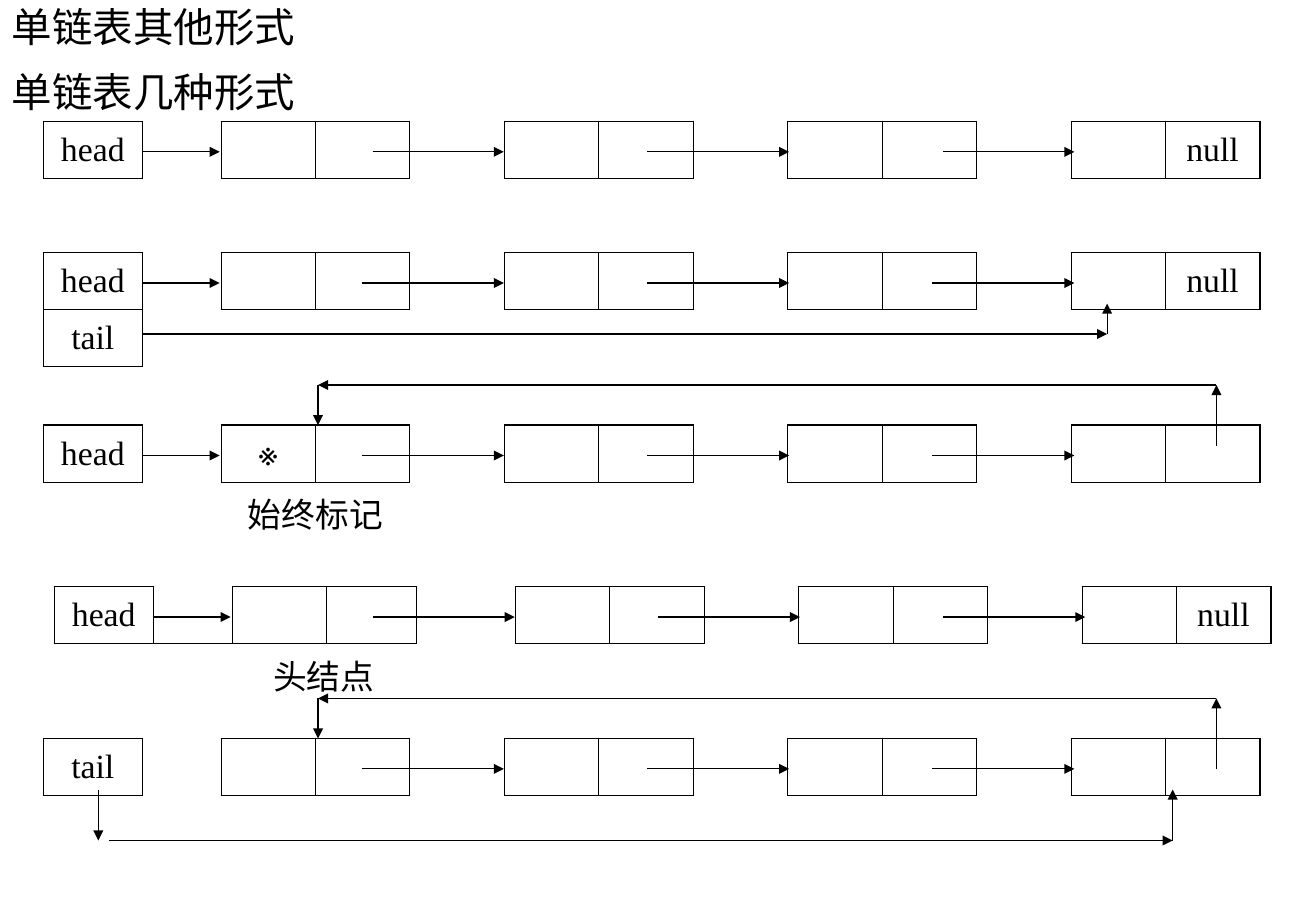
from dataclasses import dataclass
from itertools import pairwise

from lxml.etree import SubElement
from pptx import Presentation
from pptx.dml.color import RGBColor
from pptx.enum.shapes import MSO_CONNECTOR
from pptx.enum.text import MSO_ANCHOR, PP_ALIGN
from pptx.oxml.ns import qn
from pptx.util import Emu, Pt

SCALE = 9144  # EMU in one px, 100 px to the inch
FONT = "Times New Roman"
BLACK = "000000"
PLAIN = "{2D5ABB26-0587-4C30-8999-92F81FD0307C}"  # table style without a grid
THIN, THICK = 0.45, 1.08
ROW, COLS = 47, 13
WIDE, HEAD, GAP = 1002, 81, 65
NODE = (WIDE - HEAD - GAP) / (COLS - 2)
GAPS = (1, 4, 7, 10)
SIDES = {"a:lnL": (0, -1), "a:lnR": (0, 1), "a:lnT": (-1, 0), "a:lnB": (1, 0)}


@dataclass
class Chain:
    top: int
    texts: dict[tuple[int, int], str]
    left: int = 36
    spans: tuple[tuple[int, int], ...] = ()  # merged columns of the lower row
    nudge: tuple[int, ...] = (0, 0, 0)  # shift of each link's start
    entry: bool = True  # arrow from head to the first node
    trim: int = 0  # width taken from column 3 and given to column 4


CHAINS = [
    Chain(100, {(0, 0): "head", (0, 12): "null"}, nudge=(9, 0, 9)),
    Chain(208, {(0, 0): "head", (0, 12): "null", (1, 0): "tail"}),
    Chain(350, {(0, 0): "head", (0, 2): "※", (1, 2): "始终标记"}, spans=((2, 3),)),
    Chain(483, {(0, 0): "head", (0, 12): "null", (1, 2): "头结点"},
          left=45, spans=((0, 1), (2, 3)), trim=4),
    Chain(608, {(0, 0): "tail"}, entry=False),
]

# Bent routes: every leg has its own arrowhead
ROUTES = [
    [(117, 275), (912, 275), (912, 250)],
    [(1002, 367), (1002, 317), (262, 317), (262, 350)],
    [(1002, 633), (1002, 575), (262, 575), (262, 608)],
    [(81, 650), (81, 692)],
    [(90, 692), (966, 692), (966, 650)],
]


def px(size: float) -> Emu:
    return Emu(round(size * SCALE))


def tint(code: str) -> RGBColor:
    return RGBColor.from_string(code)


def write(frame, text: str, *, size: int = 20, align=PP_ALIGN.LEFT) -> None:
    frame.word_wrap = True
    para = frame.paragraphs[0]
    para.alignment = align
    run = para.add_run()
    run.text = text
    run.font.size = Pt(size)
    run.font.name = FONT
    run.font.color.rgb = tint(BLACK)


def label(slide, text: str, box: tuple[int, ...], anchor) -> None:
    frame = slide.shapes.add_textbox(*map(px, box)).text_frame
    write(frame, text, size=24)
    frame.vertical_anchor = anchor


def arrow(slide, start: tuple[int, int], end: tuple[int, int]) -> None:
    line = slide.shapes.add_connector(
        MSO_CONNECTOR.STRAIGHT, *map(px, (*start, *end)))
    line.line.color.rgb = tint(BLACK)
    line.line.width = Pt(0.75)
    SubElement(line.line._get_or_add_ln(), qn("a:tailEnd"), type="triangle")
    SubElement(line._element.spPr, qn("a:effectLst"))


def border(cell, tag: str, width: float) -> None:
    props = cell._tc.get_or_add_tcPr()
    edge = SubElement(props, qn(tag), w=str(Pt(width)))
    if width:
        fill = SubElement(edge, qn("a:solidFill"))
        SubElement(fill, qn("a:srgbClr"), val=BLACK)
    else:
        SubElement(edge, qn("a:noFill"))


def boxed(chain: Chain, row: int, col: int) -> bool:
    if row == 0:
        return 0 <= col < COLS and col not in GAPS
    return (row, col) == (1, 0) and (1, 0) in chain.texts


def weight(chain: Chain, row: int, col: int, tag: str) -> float:
    down, over = SIDES[tag]
    if not (boxed(chain, row, col) or boxed(chain, row + down, col + over)):
        return 0
    outer = row + down < 0 or not 0 <= col + over < COLS
    return THICK if row == 0 and outer else THIN


def draw(slide, chain: Chain) -> None:
    # Grid of nodes and gaps
    shape = slide.shapes.add_table(
        2, COLS, *map(px, (chain.left, chain.top, WIDE, 2 * ROW)))
    table = shape.table
    table.first_row = table.horz_banding = False
    table._tbl.tblPr.find(qn("a:tableStyleId")).text = PLAIN
    sizes = [HEAD, GAP] + [NODE] * (COLS - 2)
    sizes[3] -= chain.trim
    sizes[4] += chain.trim
    for column, size in zip(table.columns, sizes):
        column.width = px(size)
    for line in table.rows:
        line.height = px(ROW)

    # Borders and words
    for row in range(2):
        for col in range(COLS):
            cell = table.cell(row, col)
            for tag in SIDES:
                border(cell, tag, weight(chain, row, col, tag))
            cell.fill.background()
            cell.vertical_anchor = MSO_ANCHOR.MIDDLE
            if (row, col) in chain.texts:
                write(cell.text_frame, chain.texts[row, col],
                      align=PP_ALIGN.CENTER)
    for first, last in chain.spans:
        table.cell(1, first).merge(table.cell(1, last))


def link(slide, chain: Chain) -> None:
    mid = chain.top + 25
    if chain.entry:
        arrow(slide, (chain.left + 81, mid), (chain.left + 145, mid))
    for step, shift in enumerate(chain.nudge):
        end = chain.left + 379 + 235 * step
        arrow(slide, (end - 117 + shift, mid), (end, mid))


def main() -> None:
    deck = Presentation()
    deck.slide_width, deck.slide_height = px(1084), px(750)
    slide = deck.slides.add_slide(deck.slide_layouts[6])

    # Headings
    label(slide, "单链表其他形式", (0, 0, 921, 44), MSO_ANCHOR.MIDDLE)
    label(slide, "单链表几种形式", (0, 50, 1056, 675), MSO_ANCHOR.TOP)

    # Lists, then their arrows
    for chain in CHAINS:
        draw(slide, chain)
    for chain in CHAINS:
        link(slide, chain)
    for route in ROUTES:
        for start, end in pairwise(route):
            arrow(slide, start, end)

    deck.save("out.pptx")


if __name__ == "__main__":
    main()
